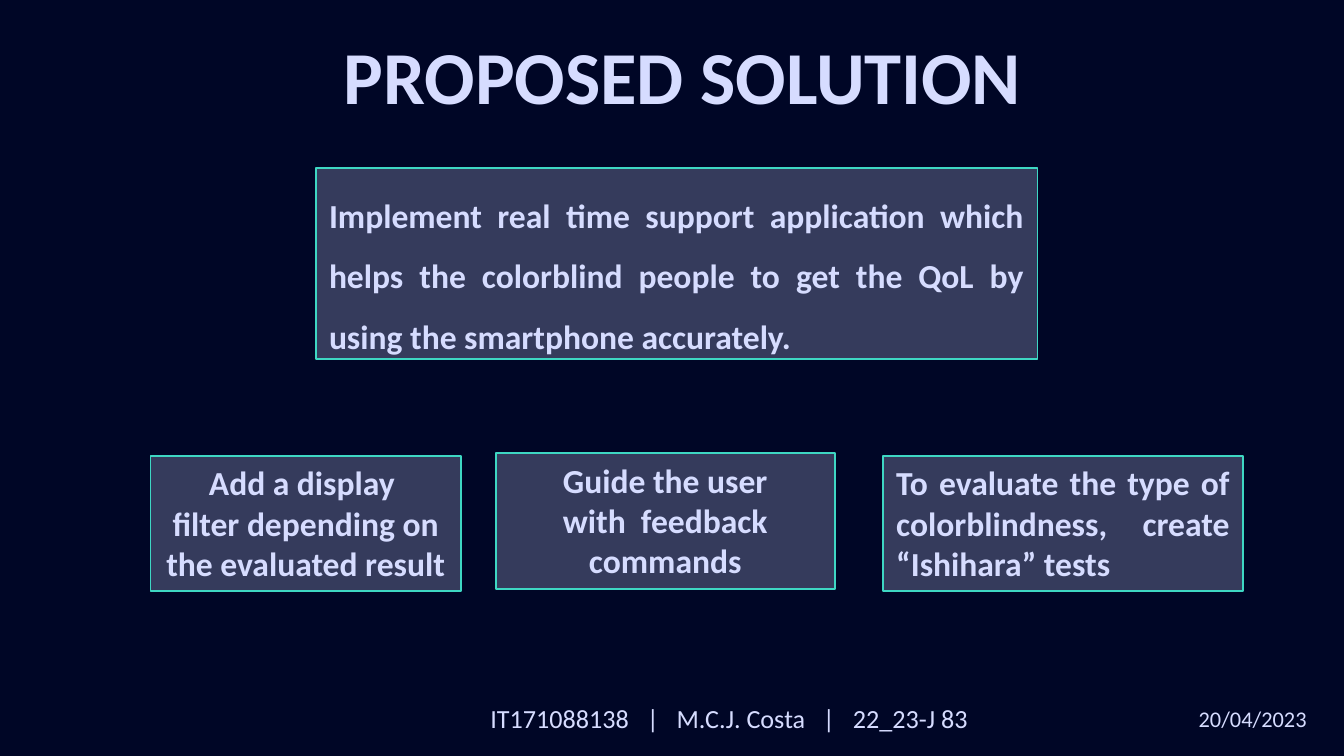
from lxml import etree
from pptx import Presentation, util as u
from pptx.dml.color import RGBColor
from pptx.enum import shapes, text
from pptx.oxml.ns import qn

WIDE = 10
HIGH = WIDE * 9 / 16
FONT = "Calibri"
GLUE = chr(160)  # space that holds two words on one line
HUES = {"back": "000626", "ink": "D6DCFF", "edge": "3ED7C3"}
LEFT, MID, JUST = text.PP_ALIGN.LEFT, text.PP_ALIGN.CENTER, text.PP_ALIGN.JUSTIFY
TOP, CENTER, BASE = (text.MSO_ANCHOR.TOP, text.MSO_ANCHOR.MIDDLE,
                     text.MSO_ANCHOR.BOTTOM)


def hue(name):
    return RGBColor.from_string(HUES[name])


def place(x, y, w, h):
    """Turn shares of the slide's size into lengths."""
    return [u.Inches(round(part * size, 2))
            for part, size in zip((x, y, w, h), (WIDE, HIGH) * 2)]


def add_run(para, words, size, bold=False, track=0):
    run = para.add_run()
    run.text = words
    font = run.font
    font.name, font.size, font.bold = FONT, u.Pt(size), bold
    font.color.rgb = hue("ink")
    if track:
        run._r.get_or_add_rPr().set("spc", str(track))


def set_frame(shape, anchor, pad=0.05):
    frame = shape.text_frame
    frame.word_wrap = True
    frame.vertical_anchor = anchor
    frame.margin_left = frame.margin_right = u.Inches(0.1)
    frame.margin_top = frame.margin_bottom = u.Inches(pad)
    return frame


def add_label(slide, area, anchor=TOP, pad=0.05):
    frame = set_frame(slide.shapes.add_textbox(*place(*area)), anchor, pad)
    para = frame.paragraphs[0]
    para.alignment = LEFT
    return para


def add_card(slide, area, lines, align, space=1.0):
    card = slide.shapes.add_shape(shapes.MSO_SHAPE.RECTANGLE, *place(*area))
    card.shadow.inherit = False
    card.fill.solid()
    card.fill.fore_color.rgb = hue("ink")
    # Let a quarter of the fill show
    tint = card.fill._xPr.find(qn("a:solidFill"))[0]
    etree.SubElement(tint, qn("a:alpha")).set("val", "25000")
    card.line.color.rgb = hue("edge")
    card.line.width = u.Pt(1)
    frame = set_frame(card, TOP)
    for i, line in enumerate(lines):
        para = frame.add_paragraph() if i else frame.paragraphs[0]
        para.alignment, para.line_spacing = align, space
        for j, part in enumerate(line.split(GLUE)):
            if j:
                add_run(para, GLUE, 18, True, track=400)
            add_run(para, part, 18, True)


def add_footer(slide, parts):
    para = add_label(slide, (0.355, 0.914, 0.43, 0.071), CENTER)
    for i, part in enumerate(parts):
        if i:
            # Wide gaps on both sides of the bar
            add_run(para, " |", 14, track=630)
            add_run(para, " ", 14)
        add_run(para, part, 14)


def main():
    deck = Presentation()
    deck.slide_width, deck.slide_height = u.Inches(WIDE), u.Inches(HIGH)
    slide = deck.slides.add_slide(deck.slide_layouts[6])
    slide.background.fill.solid()
    slide.background.fill.fore_color.rgb = hue("back")

    # Title
    title = add_label(slide, (0.246, 0.044, 0.526, 0.132), BASE, 0.1)
    add_run(title, "PROPOSED SOLUTION", 40, True)

    # Main goal
    goal = ("Implement real time support application which helps the "
            "colorblind people to get the QoL by using the smartphone "
            "accurately.")
    add_card(slide, (0.235, 0.222, 0.537, 0.252), [goal], JUST, 1.5)

    # Three features
    cards = [
        (0.112, 0.602, 0.231, MID,
         ["Add a display ", "filter depending on the evaluated result"]),
        (0.369, 0.599, 0.252, MID,
         [f"Guide the user with{GLUE}feedback commands"]),
        (0.657, 0.602, 0.268, JUST,
         ["To evaluate the type of colorblindness, create “Ishihara” tests"]),
    ]
    for x, y, w, align, lines in cards:
        add_card(slide, (x, y, w, 0.18), lines, align)

    # Footer and date
    add_footer(slide, ["IT171088138", "M.C.J. Costa", "22_23-J 83"])
    date = add_label(slide, (0.882, 0.924, 0.109, 0.053))
    add_run(date, "20/04/2023", 12)

    deck.save("out.pptx")


if __name__ == "__main__":
    main()
